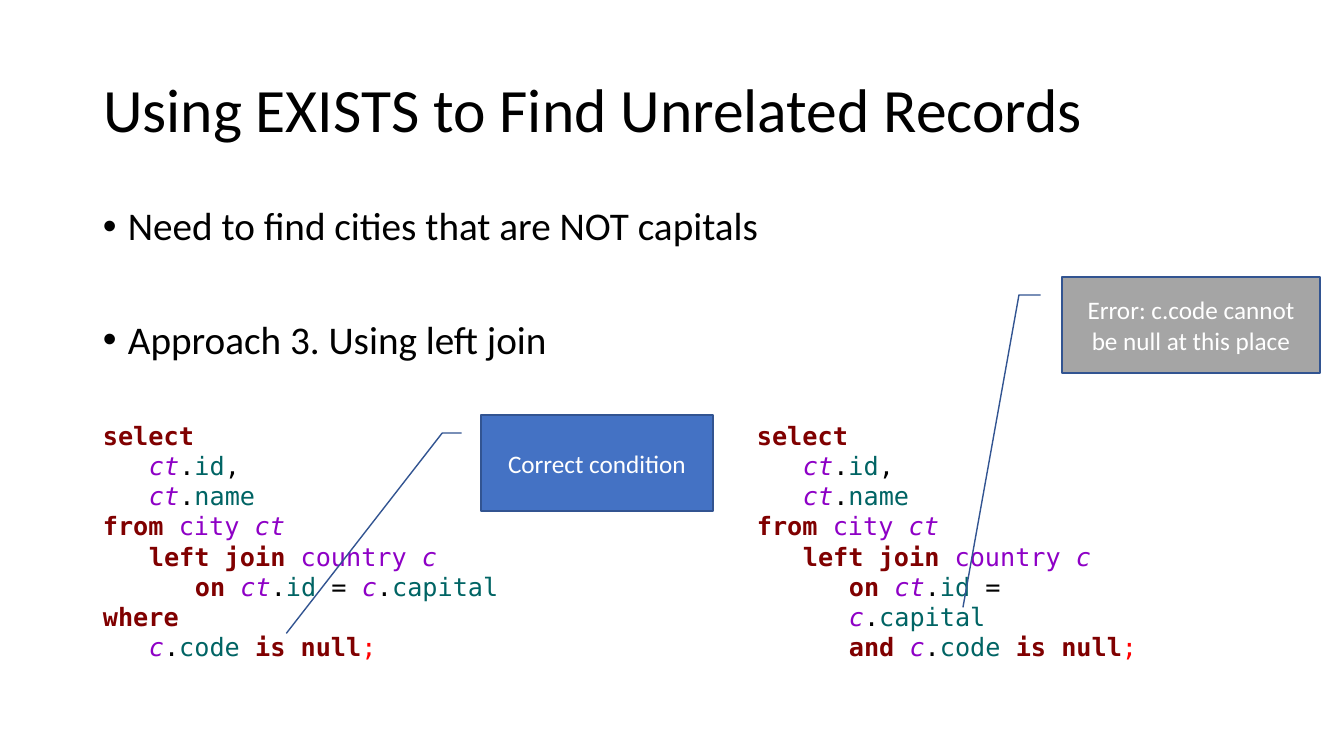
from dataclasses import dataclass

from lxml import etree
from pptx import Presentation
from pptx.dml.color import RGBColor
from pptx.enum.shapes import MSO_SHAPE
from pptx.enum.text import MSO_ANCHOR, MSO_AUTO_SIZE, PP_ALIGN
from pptx.oxml.ns import qn
from pptx.util import Pt

CALLOUT = MSO_SHAPE.LINE_CALLOUT_2
MIDDLE, TOP = MSO_ANCHOR.MIDDLE, MSO_ANCHOR.TOP
LEFT, CENTER = PP_ALIGN.LEFT, PP_ALIGN.CENTER
NO_AUTOSIZE = MSO_AUTO_SIZE.NONE

EMU_PER_PX = 914400 / 100.8
TITLE_ONLY = 5
BODY_FONT, CODE_FONT = "Calibri", "DejaVu Sans Mono"
BLACK, WHITE = "000000", "FFFFFF"
CODE_INDENT = 46
BULLET_INDENT = 25


@dataclass(frozen=True)
class Box:
    left: int
    top: int
    width: int
    height: int


@dataclass(frozen=True)
class Style:
    color: str
    bold: bool = False
    italic: bool = False


@dataclass(frozen=True)
class CodeLine:
    depth: int
    tokens: tuple[tuple[str, Style], ...]


@dataclass(frozen=True)
class Query:
    box: Box
    lines: tuple[CodeLine, ...]
    wrap: bool


@dataclass(frozen=True)
class Callout:
    box: Box
    label: str
    fill: str
    tip: tuple[float, float]


KEYWORD = Style("800000", bold=True)
TABLE = Style("8E00C6")
ALIAS = Style("8E00C6", italic=True)
COLUMN = Style("006464")
PLAIN = Style(BLACK)
END = Style("FF0000")

DOT = (".", PLAIN)
CT, C = ("ct", ALIAS), ("c", ALIAS)
NULL_CHECK = (C, DOT, ("code ", COLUMN), ("is null", KEYWORD), (";", END))
JOIN_LINES = (
    CodeLine(0, (("select", KEYWORD),)),
    CodeLine(1, (CT, DOT, ("id", COLUMN), (",", PLAIN))),
    CodeLine(1, (CT, DOT, ("name", COLUMN))),
    CodeLine(0, (("from ", KEYWORD), ("city ", TABLE), CT)),
    CodeLine(1, (("left join ", KEYWORD), ("country ", TABLE), C)),
    CodeLine(2, (("on ", KEYWORD), CT, DOT, ("id", COLUMN), (" = ", PLAIN),
                 C, DOT, ("capital", COLUMN))),
)
QUERIES = (
    Query(Box(93, 415, 525, 254),
          JOIN_LINES + (CodeLine(0, (("where", KEYWORD),)), CodeLine(1, NULL_CHECK)), True),
    Query(Box(747, 415, 415, 254),
          JOIN_LINES + (CodeLine(2, (("and ", KEYWORD),) + NULL_CHECK),), False),
)
CALLOUTS = (
    Callout(Box(481, 415, 232, 96), "Correct condition", "4472C4", (2.275, -0.839)),
    Callout(Box(1062, 277, 258, 96), "Error: c.code cannot be null at this place",
            "A5A5A5", (3.442, -0.384)),
)
BULLETS = (
    ("Need to find cities that are NOT capitals", 10),
    ("Approach 3. Using left join", 51),
)


def px(length: int) -> int:
    return round(length * EMU_PER_PX)


def rgb(color: str) -> RGBColor:
    return RGBColor.from_string(color)


def bounds(box: Box) -> tuple[int, ...]:
    return px(box.left), px(box.top), px(box.width), px(box.height)


def add_run(paragraph, text: str, size: int, style: Style, font_name: str = BODY_FONT) -> None:
    run = paragraph.add_run()
    run.text = text
    font = run.font
    font.name, font.size = font_name, Pt(size)
    font.bold, font.italic = style.bold, style.italic
    font.color.rgb = rgb(style.color)


def paragraph_at(frame, index: int):
    """Return the frame's first paragraph, or a new one after it."""
    return frame.add_paragraph() if index else frame.paragraphs[0]


def add_title(slide, text: str) -> None:
    title = slide.shapes.title
    title.left, title.top, title.width, title.height = bounds(Box(93, 40, 1159, 146))
    frame = title.text_frame
    frame.auto_size = NO_AUTOSIZE
    frame.vertical_anchor = MIDDLE
    paragraph = frame.paragraphs[0]
    paragraph.alignment = LEFT
    paragraph.line_spacing = 0.9
    add_run(paragraph, text, 44, PLAIN)


def add_bullets(slide) -> None:
    frame = slide.shapes.add_textbox(*bounds(Box(93, 202, 1159, 199))).text_frame
    frame.word_wrap = True
    for index, (text, space_before) in enumerate(BULLETS):
        paragraph = paragraph_at(frame, index)
        paragraph.line_spacing = 0.9
        paragraph.space_before = Pt(space_before)
        properties = paragraph._p.get_or_add_pPr()
        properties.set("marL", str(px(BULLET_INDENT)))
        properties.set("indent", str(-px(BULLET_INDENT)))
        etree.SubElement(properties, qn("a:buFont")).set("typeface", "Arial")
        etree.SubElement(properties, qn("a:buChar")).set("char", "•")
        add_run(paragraph, text, 28, PLAIN)


def add_query(slide, query: Query) -> None:
    frame = slide.shapes.add_textbox(*bounds(query.box)).text_frame
    frame.word_wrap = query.wrap
    frame.vertical_anchor = TOP
    for index, line in enumerate(query.lines):
        paragraph = paragraph_at(frame, index)
        paragraph.alignment = LEFT
        properties = paragraph._p.get_or_add_pPr()
        properties.set("marL", str(px(line.depth * CODE_INDENT)))
        properties.set("indent", "0")
        for text, style in line.tokens:
            add_run(paragraph, text, 18, style, CODE_FONT)


def add_callout(slide, callout: Callout) -> None:
    shape = slide.shapes.add_shape(CALLOUT, *bounds(callout.box))
    shape.shadow.inherit = False
    for index, value in enumerate((0.188, -0.083, 0.188, -0.167, *callout.tip)):
        shape.adjustments[index] = value
    shape.fill.solid()
    shape.fill.fore_color.rgb = rgb(callout.fill)
    shape.line.color.rgb = rgb("325491")
    shape.line.width = Pt(1)
    frame = shape.text_frame
    frame.word_wrap = True
    frame.vertical_anchor = MIDDLE
    paragraph = frame.paragraphs[0]
    paragraph.alignment = CENTER
    add_run(paragraph, callout.label, 18, Style(WHITE))


def main() -> None:
    presentation = Presentation()
    presentation.slide_width, presentation.slide_height = px(1344), px(756)
    slide = presentation.slides.add_slide(presentation.slide_layouts[TITLE_ONLY])
    add_title(slide, "Using EXISTS to Find Unrelated Records")
    add_bullets(slide)
    for query in QUERIES:
        add_query(slide, query)
    for callout in CALLOUTS:
        add_callout(slide, callout)
    presentation.save("out.pptx")


if __name__ == "__main__":
    main()
